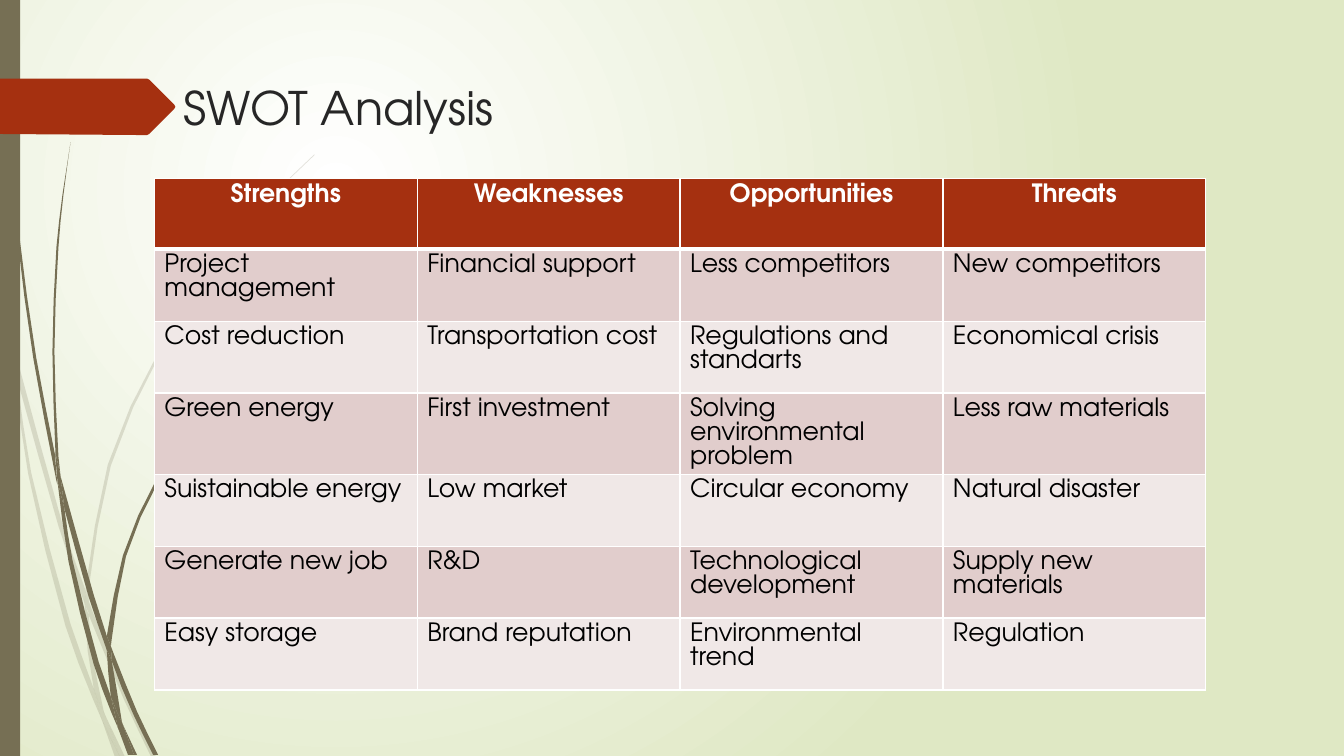
from dataclasses import dataclass
from math import dist

from lxml import etree
from pptx import Presentation
from pptx.dml.color import RGBColor
from pptx.enum import shapes, text
from pptx.oxml import ns
from pptx.util import Pt


@dataclass(frozen=True)
class Theme:
    """Colours, font and type sizes of the slide."""
    font: str = "TeX Gyre Adventor"
    title: float = 33
    cell: float = 18
    pitch: float = 16.9
    ink: str = "262626"
    black: str = "000000"
    white: str = "FFFFFF"
    lime: str = "DFE8C4"
    moss: str = "766F54"
    rust: str = "A53010"
    bands: tuple = ("E1CDCC", "F0E8E7")


THEME = Theme()
UNIT = Pt(0.72)

SWOT = [
    ("Strengths", "Weaknesses", "Opportunities", "Threats"),
    ("Project management", "Financial support", "Less competitors", "New competitors"),
    ("Cost reduction", "Transportation cost", "Regulations and standarts", "Economical crisis"),
    ("Green energy", "First investment", "Solving environmental problem", "Less raw materials"),
    ("Suistainable energy", "Low market", "Circular economy", "Natural disaster"),
    ("Generate new job", "R&D", "Technological development", "Supply new materials"),
    ("Easy storage", "Brand reputation", "Environmental trend", "Regulation"),
]

PALE = [
    "11,350 9,322 0,282 / 0,299 10,344",
    "17,376 58,522 84,599 / 85,586 62,520 14,345",
    "88,610 123,694 150,751 / 155,751 127,692 92,607 88,596",
    "119,751 124,751 / 105,711",
    "11,350 28,470 65,621 92,693 101,714 / 99,707 93,683 70,619 31,469 17,376",
    "84,599 87,646 93,683 96,692 105,711 / 103,706 91,646 88,610",
    "88,596 88,584 110,462 160,349 229,245 268,198 290,175 312,154"
    " / 312,153 289,175 268,197 228,244 158,348 107,461 85,584",
    "101,714 114,751 / 119,751",
    "88,608 88,610 / 88,596 85,586 / 84,599",
    "93,683 99,707 101,714 119,751 / 105,711 96,692",
]
DARK = [
    "3,0 4,48 7,110 17,233 33,355 56,477 57,481"
    " / 55,457 55,453 36,355 19,232 8,109 5,48 4,0",
    "64,505 88,592 106,645 / 106,633 106,631 93,590 60,472",
    "110,641 111,656 132,708 152,749 / 157,749 136,706 113,649",
    "57,477 68,557 93,659 111,708 117,722 / 116,717 110,691 98,657 72,556 64,505",
    "60,472 58,453 54,349 58,245 63,193 70,141 / 62,193 56,245 52,349 55,449",
    "122,719 133,749 / 136,749",
    "57,477 64,505 / 60,472 55,449 / 55,453",
    "111,633 125,552 158,476 205,406 231,374 245,359 261,344"
    " / 260,344 245,358 231,373 204,405 156,474 122,551 106,631 / 110,641",
    "117,722 127,749 / 131,749",
    "106,645 110,691 116,706 122,719 / 121,716 111,656 109,651",
    "106,645 109,651 111,656 / 110,641 106,631",
    "110,691 116,717 117,722 130,749 / 133,749 122,719 116,706",
]
ARROW = ("0,78 / 146,78 / 148,79 / 173,104 / 174,106 / 173,108 / 148,133"
         " / 146,134 / 136,134 / 0,133")


def rgb(code):
    """Turn a hex code into a colour."""
    return RGBColor.from_string(code)


def paint(shape, code, alpha=None):
    """Fill a shape flat, with no line or shadow."""
    shape.shadow.inherit = False
    shape.line.fill.background()
    shape.fill.solid()
    shape.fill.fore_color.rgb = rgb(code)
    if alpha:
        tint = shape.fill._xPr.find(".//" + ns.qn("a:srgbClr"))
        etree.SubElement(tint, ns.qn("a:alpha")).set("val", str(alpha * 1000))


def smooth(rail):
    """Bend a rail softly by adding a middle point to each long span."""
    ends = [rail[0], *rail, rail[-1]]
    slopes = []
    for a, b, c in zip(ends, rail, ends[2:]):
        span = dist(a, b) + dist(b, c) or 1
        slopes.append(((c[0] - a[0]) / span, (c[1] - a[1]) / span))
    curve = [rail[0]]
    for a, b, m, n in zip(rail, rail[1:], slopes, slopes[1:]):
        size = dist(a, b)
        if size > 45:
            curve.append(tuple((p + q) / 2 + size * (v - w) / 8
                               for p, q, v, w in zip(a, b, m, n)))
        curve.append(b)
    return curve


def outline(tree, rails, code, alpha=None):
    """Draw one closed outline made of smooth rails."""
    dots = []
    for rail in rails.split("/"):
        dots += smooth([tuple(map(int, dot.split(","))) for dot in rail.split()])
    dots = [(round(x * 100), round(y * 100)) for x, y in dots]
    pen = tree.build_freeform(*dots[0], scale=UNIT / 100)
    pen.add_line_segments(dots[1:])
    paint(pen.convert_to_shape(), code, alpha)


def wisps(slide, blades, alpha=None):
    """Draw one group of grass blades."""
    group = slide.shapes.add_group_shape()
    for blade in blades:
        outline(group.shapes, blade, THEME.moss, alpha)


def backdrop(slide):
    """Give the slide its round gradient."""
    fill = slide.background.fill
    fill.gradient()
    for stop, code in zip(fill.gradient_stops, (THEME.white, THEME.lime)):
        stop.color.rgb = rgb(code)
    lin = slide.background._cSld.find(".//" + ns.qn("a:lin"))
    ring = etree.Element(ns.qn("a:path"), path="circle")
    etree.SubElement(ring, ns.qn("a:fillToRect"),
                     l="50000", t="50000", r="100000", b="100000")
    lin.getparent().replace(lin, ring)


def write(para, words, size, code, bold=False):
    """Add one run to a paragraph."""
    run = para.add_run()
    run.text = words
    run.font.name = THEME.font
    run.font.size = Pt(size)
    run.font.bold = bold
    run.font.color.rgb = rgb(code)


def heading(slide, words):
    """Place and write the title."""
    box = slide.shapes.title
    box.left, box.top, box.width, box.height = Pt(123.84), Pt(53.28), Pt(702), Pt(100.8)
    frame = box.text_frame
    frame.word_wrap = True
    frame.auto_size = text.MSO_AUTO_SIZE.NONE
    frame.vertical_anchor = text.MSO_ANCHOR.TOP
    para = frame.paragraphs[0]
    para.alignment = text.PP_ALIGN.LEFT
    write(para, words, THEME.title, THEME.ink)


def edge(cell, sides):
    """Draw white borders on a cell, given side names and widths."""
    props = cell._tc.get_or_add_tcPr()
    for spot, (side, width) in enumerate(sides.items()):
        line = etree.Element(ns.qn("a:ln" + side), w=str(Pt(width)))
        fill = etree.SubElement(line, ns.qn("a:solidFill"))
        etree.SubElement(fill, ns.qn("a:srgbClr"), val=THEME.white)
        props.insert(spot, line)


def grid(slide, rows):
    """Build the table with a header and banded rows."""
    frame = slide.shapes.add_table(
        len(rows), len(rows[0]), Pt(110.3), Pt(127.6), Pt(751), Pt(365))
    table = frame.table
    for col in table.columns:
        col.width = Pt(187.75)
    for i, row in enumerate(rows):
        head = i == 0
        table.rows[i].height = Pt(50.4 if head else 51.4)
        for j, words in enumerate(row):
            cell = table.cell(i, j)
            cell.fill.solid()
            cell.fill.fore_color.rgb = rgb(THEME.rust if head else THEME.bands[(i - 1) % 2])
            edge(cell, {"L": 1, "R": 1, "T": 3 if i == 1 else 1, "B": 3 if head else 1})
            para = cell.text_frame.paragraphs[0]
            para.line_spacing = Pt(THEME.pitch)
            para.alignment = text.PP_ALIGN.CENTER if head else text.PP_ALIGN.LEFT
            write(para, words, THEME.cell, THEME.white if head else THEME.black, head)


def main():
    """Build and save the slide."""
    deck = Presentation()
    deck.slide_width, deck.slide_height = Pt(960), Pt(540)
    slide = deck.slides.add_slide(deck.slide_layouts[5])
    backdrop(slide)
    wisps(slide, PALE, 20)
    wisps(slide, DARK)
    bar = slide.shapes.add_shape(
        shapes.MSO_SHAPE.RECTANGLE, 0, 0, Pt(14.4), Pt(540))
    paint(bar, THEME.moss)
    outline(slide.shapes, ARROW, THEME.rust)
    heading(slide, "SWOT Analysis")
    grid(slide, SWOT)
    deck.save("out.pptx")


if __name__ == "__main__":
    main()
